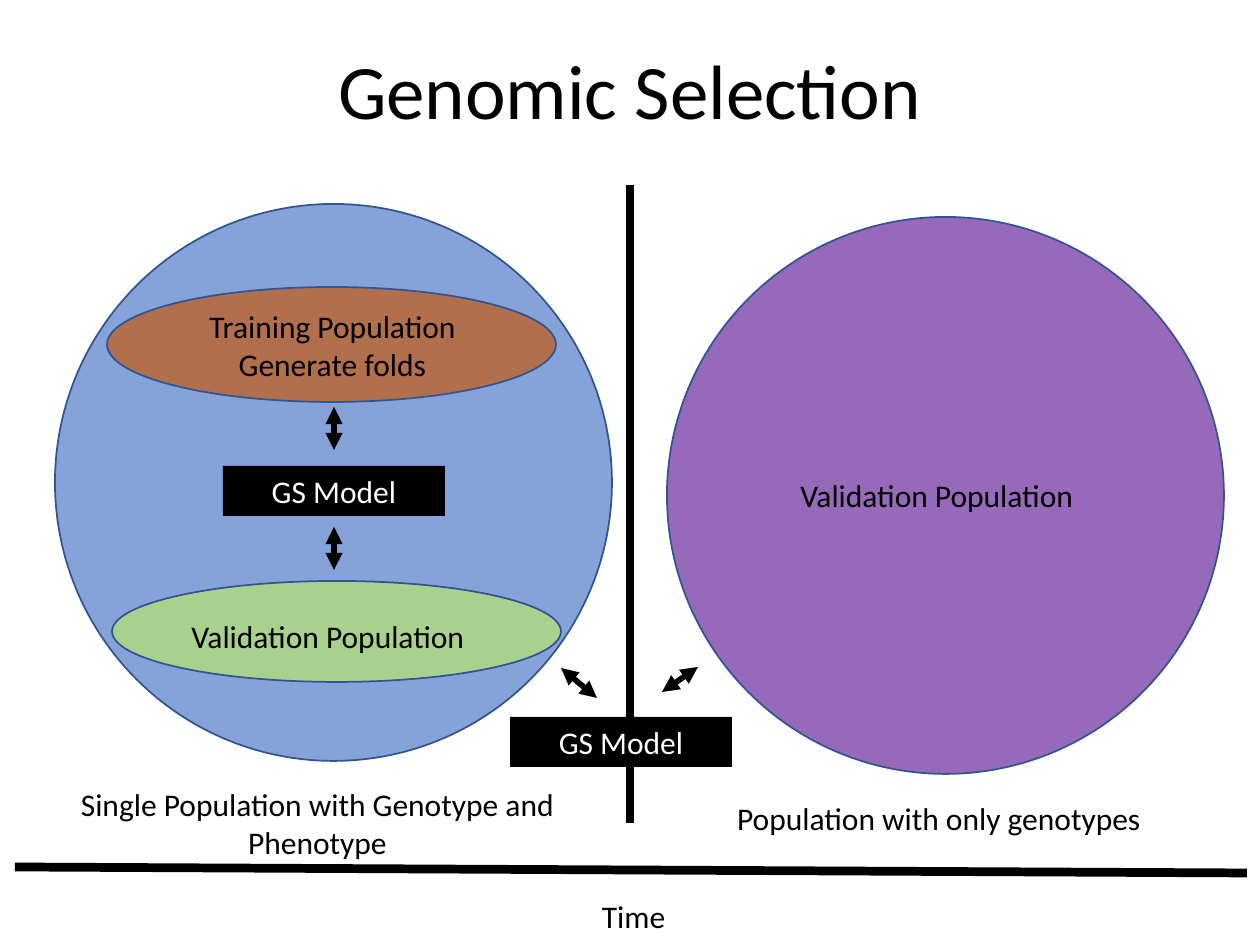
import pptx
import pptx.util
import pptx.dml.color
import pptx.enum.shapes
import pptx.enum.text
import pptx.oxml.ns
import lxml.etree

SCALE = 914400 / 126
COLORS = {
    "black": "000000",
    "white": "FFFFFF",
    "outline": "325491",
    "single": "4472C4",
    "training": "C55A11",
    "validation": "A9D18E",
    "genotyped": "7030A0",
}
CENTER = pptx.enum.text.PP_ALIGN.CENTER
LEFT = pptx.enum.text.PP_ALIGN.LEFT


def px(length):
    """Turn pixels into EMU."""
    return pptx.util.Emu(round(length * SCALE))


def rgb(name):
    """Look up a named colour."""
    return pptx.dml.color.RGBColor.from_string(COLORS[name])


def place(box, left, top, width, height):
    """Return an EMU rectangle offset from the corner of a box."""
    return px(box[0] + left), px(box[1] + top), px(width), px(height)


def write(frame, lines, color="black", align=CENTER, size=18):
    """Fill a text frame with one paragraph for each line."""
    frame.word_wrap = True
    frame.text = "\n".join(lines)
    for para in frame.paragraphs:
        para.alignment = align
        para.font.name = "Calibri"
        para.font.size = pptx.util.Pt(size)
        para.font.color.rgb = rgb(color)


def add_label(page, area, lines, align=CENTER):
    """Add a text box that fits its text."""
    frame = page.shapes.add_textbox(*area).text_frame
    write(frame, lines, align=align)
    frame.auto_size = pptx.enum.text.MSO_AUTO_SIZE.SHAPE_TO_FIT_TEXT


def add_ellipse(page, area, color, opacity=100):
    """Add an outlined ellipse with the given opacity in percent."""
    ellipse = page.shapes.add_shape(pptx.enum.shapes.MSO_SHAPE.OVAL, *area)
    ellipse.shadow.inherit = False
    ellipse.fill.solid()
    ellipse.fill.fore_color.rgb = rgb(color)
    ellipse.line.color.rgb = rgb("outline")
    ellipse.line.width = pptx.util.Pt(1)
    if opacity < 100:
        tint = ellipse.fill._xPr.find(".//" + pptx.oxml.ns.qn("a:srgbClr"))
        alpha = lxml.etree.SubElement(tint, pptx.oxml.ns.qn("a:alpha"))
        alpha.set("val", str(opacity * 1000))


def add_model(page, area):
    """Add a black GS Model box."""
    model = page.shapes.add_shape(pptx.enum.shapes.MSO_SHAPE.RECTANGLE, *area)
    model.shadow.inherit = False
    model.fill.solid()
    model.fill.fore_color.rgb = rgb("black")
    model.line.fill.background()
    write(model.text_frame, ["GS Model"], "white")


def add_line(page, box, start, end, width=5, arrows=False):
    """Add a black line, with arrowheads at both ends if asked."""
    points = [px(box[axis] + point[axis]) for point in (start, end) for axis in (0, 1)]
    line = page.shapes.add_connector(pptx.enum.shapes.MSO_CONNECTOR.STRAIGHT, *points)
    line.line.color.rgb = rgb("black")
    line.line.width = pptx.util.Pt(width)
    if arrows:
        for tag in ("a:headEnd", "a:tailEnd"):
            head = lxml.etree.SubElement(line.line._get_or_add_ln(), pptx.oxml.ns.qn(tag))
            head.set("type", "triangle")
    lxml.etree.SubElement(line._element.spPr, pptx.oxml.ns.qn("a:effectLst"))


def add_title(page, box):
    """Place and fill the title placeholder."""
    title = page.shapes.title
    title.left, title.top, title.width, title.height = place(box, 0, 0, box[2], box[3])
    write(title.text_frame, ["Genomic Selection"], size=44)
    title.text_frame.vertical_anchor = pptx.enum.text.MSO_ANCHOR.MIDDLE
    title.text_frame.paragraphs[0].line_spacing = 0.9


def add_axes(page, box):
    """Draw the divider and the time axis with its label."""
    add_line(page, box, (630, 185), (630, 823))
    add_line(page, box, (15, 867), (1247, 873))
    add_label(page, place(box, 415, 891, 437, 50), ["Time"])


def add_single_population(page, box):
    """Draw the population split into training and validation sets."""
    add_ellipse(page, place(box, 0, 0, box[2], box[3]), "single", 65)
    add_model(page, place(box, 168, 262, 222, 50))
    add_ellipse(page, place(box, 57, 377, 449, 101), "validation")
    add_label(page, place(box, 124, 407, 310, 50), ["Validation Population"], LEFT)
    add_ellipse(page, place(box, 52, 83, 449, 115), "training", 70)
    add_label(page, place(box, 133, 97, 289, 89), ["Training Population", "Generate folds"])
    for top in (203, 323):
        add_line(page, box, (279, top), (279, top + 43), 3.25, True)
    add_label(page, place(box, -45, 575, 615, 89),
              ["Single Population with Genotype and Phenotype"])


def add_genotyped_population(page, box):
    """Draw the population that has only genotypes."""
    add_ellipse(page, place(box, 0, 0, box[2], box[3]), "genotyped", 72)
    add_label(page, place(box, 121, 253, 354, 50), ["Validation Population"], LEFT)
    add_label(page, place(box, -13, 576, 570, 50), ["Population with only genotypes"])


def add_bridge(page, box):
    """Draw the model that links both populations."""
    add_model(page, place(box, 0, 0, box[2], box[3]))
    add_line(page, box, (188, -50), (152, -25), 3.25, True)
    add_line(page, box, (51, -49), (87, -19), 3.25, True)


def main():
    """Build and save the deck."""
    deck = pptx.Presentation()
    deck.slide_width, deck.slide_height = px(1260), px(945)
    page = deck.slides.add_slide(deck.slide_layouts[5])
    add_title(page, (87, 3, 1086, 183))
    add_axes(page, (0, 0, 1260, 945))
    add_single_population(page, (55, 204, 557, 557))
    add_genotyped_population(page, (667, 217, 557, 557))
    add_bridge(page, (510, 717, 222, 50))
    deck.save("out.pptx")


if __name__ == "__main__":
    main()
